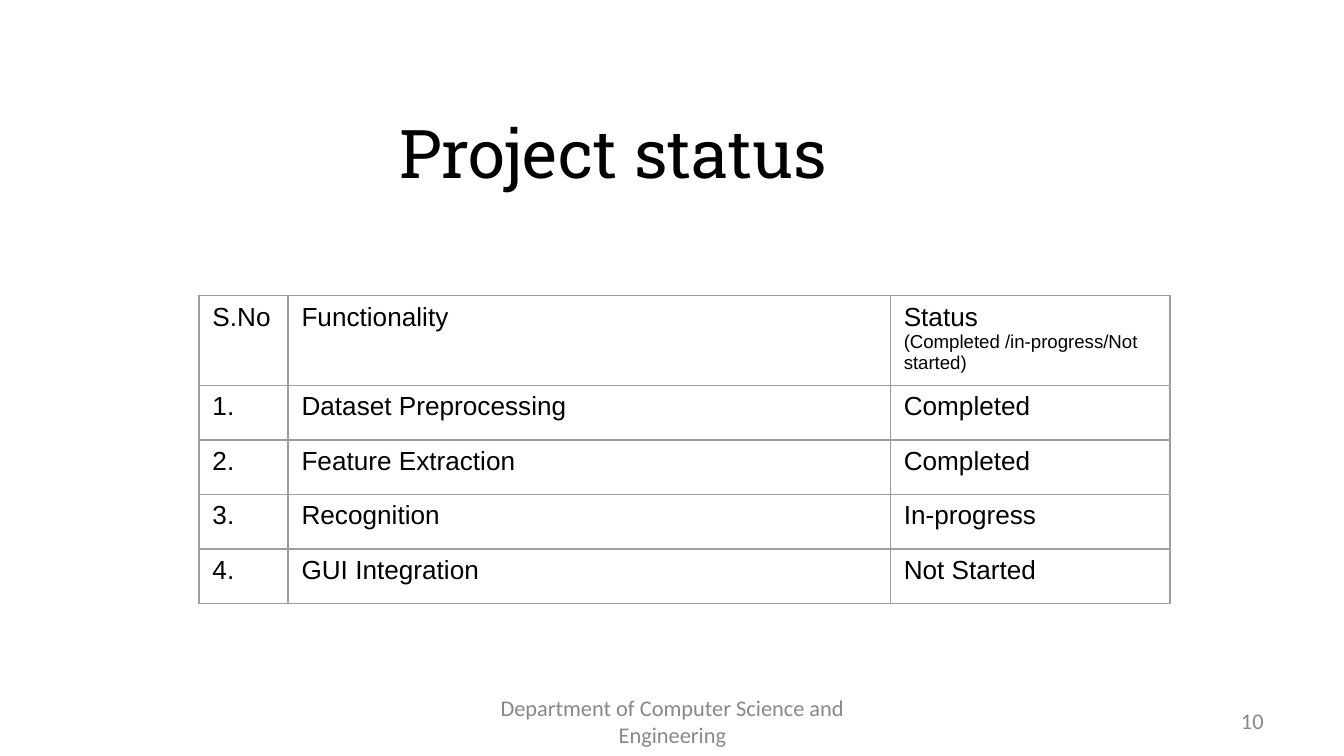
from lxml import etree
from pptx import Presentation
from pptx.dml.color import RGBColor
from pptx.enum.text import MSO_ANCHOR, PP_ALIGN
from pptx.oxml.ns import qn
from pptx.util import Pt

PX = 5715
LEFT, CENTER, RIGHT = PP_ALIGN.LEFT, PP_ALIGN.CENTER, PP_ALIGN.RIGHT
MIDDLE = MSO_ANCHOR.MIDDLE
BLACK, GRAY, BORDER = "000000", "888888", "9E9E9E"
BORDER_WIDTH = Pt(0.75)

COLUMNS = [106, 717, 333]
ROW_HEIGHT = 65
ROWS = [
    ("S.No", "Functionality", "Status"),
    ("1.", "Dataset Preprocessing", "Completed"),
    ("2.", "Feature Extraction", "Completed"),
    ("3.", "Recognition", "In-progress"),
    ("4.", "GUI Integration", "Not Started"),
]
STATUS_HINT = "(Completed /in-progress/Not started)"


def px(n):
    return n * PX


def rgb(value):
    return RGBColor.from_string(value)


def write(p, text, size=14, font="Arial", color=BLACK, align=LEFT):
    p.alignment = align
    r = p.add_run()
    r.text = text
    r.font.size = Pt(size)
    r.font.name = font
    r.font.color.rgb = rgb(color)
    etree.SubElement(p._p, qn("a:endParaRPr"), sz=str(size * 100))


def add_text(s, box, text, **style):
    tf = s.shapes.add_textbox(*map(px, box)).text_frame
    tf.word_wrap = True
    tf.vertical_anchor = MIDDLE
    write(tf.paragraphs[0], text, **style)


def set_borders(cell):
    tc_pr = cell._tc.get_or_add_tcPr()
    for side in ("lnL", "lnR", "lnT", "lnB"):
        ln = etree.SubElement(tc_pr, qn(f"a:{side}"), w=str(BORDER_WIDTH))
        fill = etree.SubElement(ln, qn("a:solidFill"))
        etree.SubElement(fill, qn("a:srgbClr"), val=BORDER)


def add_title(s, box):
    add_text(s, box, "Project status", size=36, font="Roboto Slab", align=CENTER)


def add_status_table(s, left, top):
    box = (left, top, sum(COLUMNS), ROW_HEIGHT * len(ROWS))
    table = s.shapes.add_table(len(ROWS), len(COLUMNS), *map(px, box)).table
    table.first_row = table.horz_banding = False
    for column, width in zip(table.columns, COLUMNS):
        column.width = px(width)
    for row, texts in zip(table.rows, ROWS):
        row.height = px(ROW_HEIGHT)
        for cell, text in zip(row.cells, texts):
            set_borders(cell)
            cell.fill.background()
            write(cell.text_frame.paragraphs[0], text)
    write(table.cell(0, 2).text_frame.add_paragraph(), STATUS_HINT, size=10)


def add_footer(s, box):
    left, top, width, height = box
    style = dict(size=12, font="Calibri", color=GRAY)
    add_text(s, (left, top, 507, height),
             "Department of Computer Science and Engineering", align=CENTER, **style)
    add_text(s, (left + width - 373, top, 373, height), "10", align=RIGHT, **style)


def main():
    prs = Presentation()
    prs.slide_width, prs.slide_height = px(1600), px(900)
    s = prs.slides.add_slide(prs.slide_layouts[6])
    add_title(s, (195, 126, 1070, 110))
    add_status_table(s, 237, 352)
    add_footer(s, (547, 834, 973, 48))
    prs.save("out.pptx")


if __name__ == "__main__":
    main()
